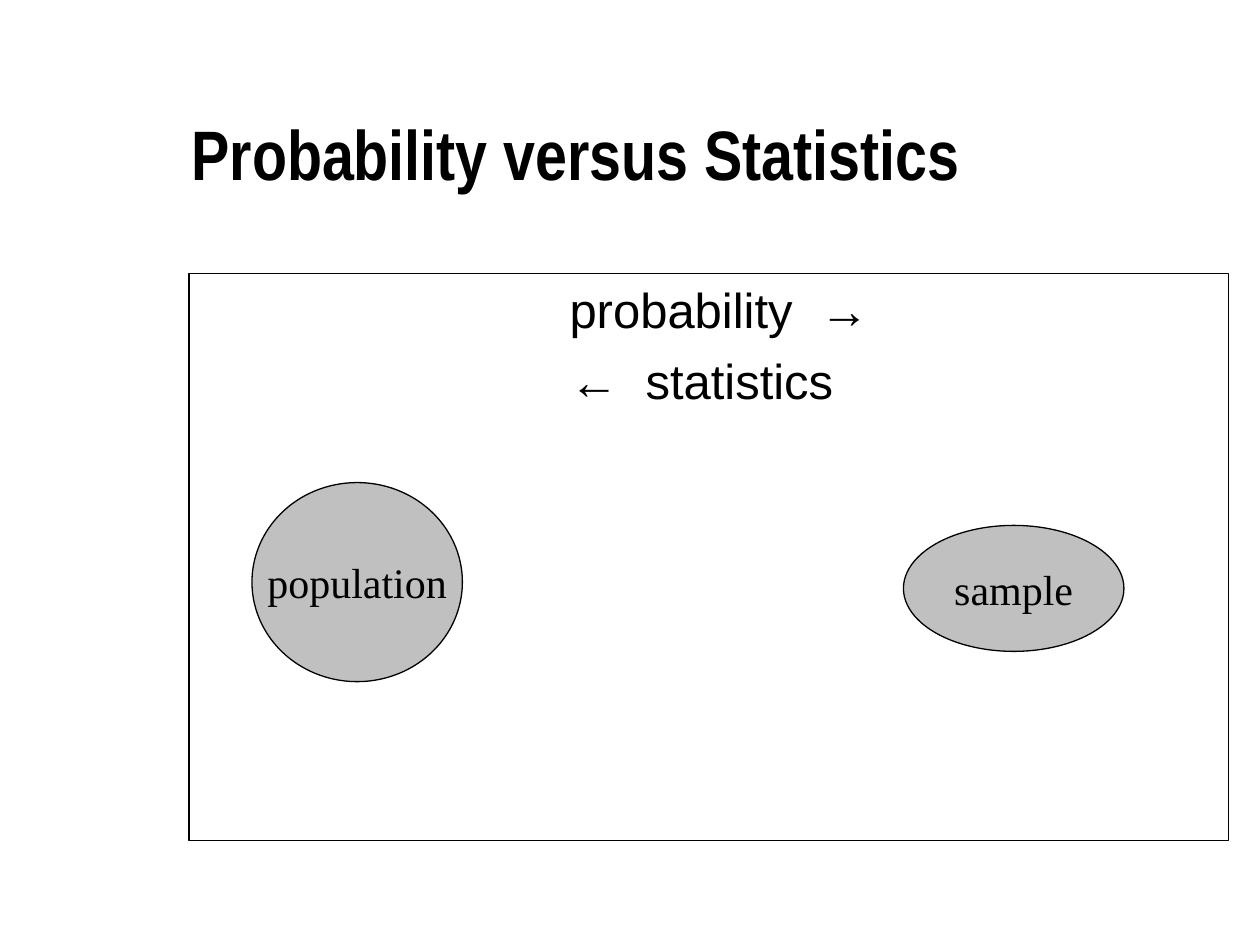
from pptx import Presentation
from pptx.dml.color import RGBColor
from pptx.enum.shapes import MSO_SHAPE
from pptx.enum.text import MSO_ANCHOR, MSO_AUTO_SIZE, PP_ALIGN
from pptx.oxml.ns import qn
from pptx.util import Inches, Pt

BLACK = RGBColor(0x00, 0x00, 0x00)
GRAY = RGBColor(0xC0, 0xC0, 0xC0)
OVAL = MSO_SHAPE.OVAL
MIDDLE, TOP = MSO_ANCHOR.MIDDLE, MSO_ANCHOR.TOP
LEFT, CENTER = PP_ALIGN.LEFT, PP_ALIGN.CENTER

TITLE = "Probability versus Statistics"
DIRECTIONS = ["probability  →", "←  statistics"]
GROUPS = [
    # label, (left, top, width, height) in inches
    ("population", (2, 3.83, 1.67, 1.58)),
    ("sample", (7.17, 4.17, 1.75, 1)),
]
TITLE_BOX = (1.42, 0.67, 8.33, 1.25)
BODY_BOX = (1.5, 2.17, 8.25, 4.5)
DIRECTION_INDENT = Inches(2.92)

TITLE_FONT = {"name": "Arial Narrow", "size": Pt(40), "bold": True}
BODY_FONT = {"name": "Arial", "size": Pt(28)}
LABEL_FONT = {"name": "Times New Roman", "size": Pt(24)}


def place(shape, box):
    shape.left, shape.top, shape.width, shape.height = map(Inches, box)


def outline(shape):
    shape.line.color.rgb = BLACK
    shape.line.width = Pt(0.75)


def write(shape, lines, font_format, align, anchor, wrap=True):
    frame = shape.text_frame
    frame.text = "\n".join(lines)
    frame.auto_size = MSO_AUTO_SIZE.NONE
    frame.word_wrap = wrap
    frame.vertical_anchor = anchor
    for paragraph in frame.paragraphs:
        paragraph.alignment = align
        font = paragraph.runs[0].font
        font.color.rgb = BLACK
        for key, value in font_format.items():
            setattr(font, key, value)
    return frame.paragraphs


prs = Presentation()
prs.slide_width, prs.slide_height = Inches(10), Inches(7.5)
slide = prs.slides.add_slide(prs.slide_layouts[1])

title = slide.shapes.title
place(title, TITLE_BOX)
heading = write(title, [TITLE], TITLE_FONT, LEFT, MIDDLE)[0]
heading.line_spacing = 0.7

body = slide.placeholders[1]
place(body, BODY_BOX)
outline(body)
for row, direction in enumerate(write(body, DIRECTIONS, BODY_FONT, LEFT, TOP)):
    direction.space_before = Pt(7 if row else 0)
    properties = direction._p.get_or_add_pPr()
    properties.set("marL", str(DIRECTION_INDENT))
    properties.set("indent", "0")
    properties.append(properties.makeelement(qn("a:buNone"), {}))

for label, box in GROUPS:
    group = slide.shapes.add_shape(OVAL, *map(Inches, box))
    group.shadow.inherit = False
    group.fill.solid()
    group.fill.fore_color.rgb = GRAY
    outline(group)
    write(group, [label], LABEL_FONT, CENTER, MIDDLE, wrap=False)

prs.save("out.pptx")
